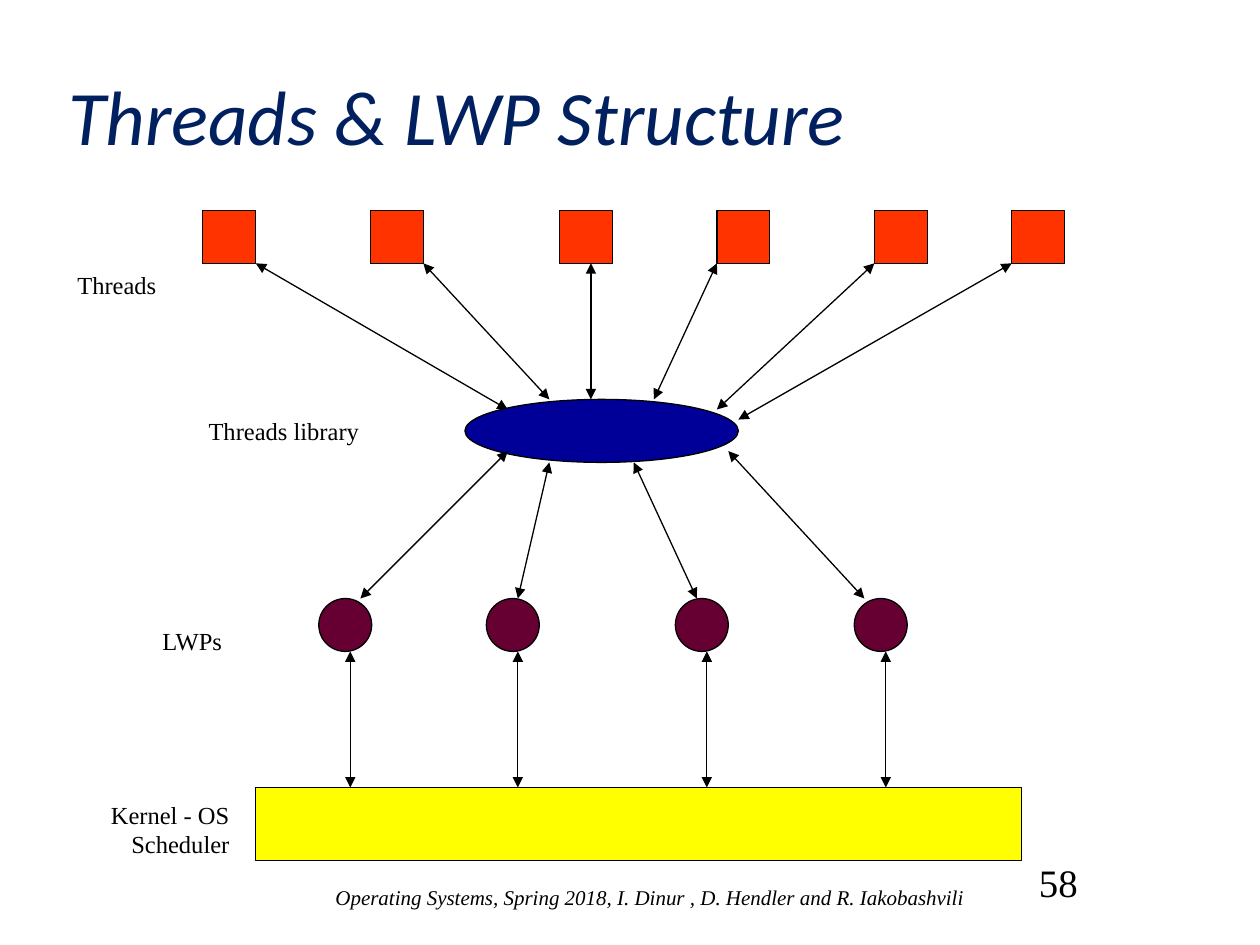
import dataclasses

import pptx
import pptx.dml.color
import pptx.enum.shapes
import pptx.enum.text
import pptx.oxml.ns
import pptx.util
from lxml import etree

Inches = pptx.util.Inches
Pt = pptx.util.Pt
Shape = pptx.enum.shapes.MSO_SHAPE
Align = pptx.enum.text.PP_ALIGN
Anchor = pptx.enum.text.MSO_ANCHOR


@dataclasses.dataclass(frozen=True)
class Theme:
    ink: str = "000000"
    title: str = "002060"
    thread: str = "FF3300"
    library: str = "000099"
    lwp: str = "660033"
    kernel: str = "FFFF00"
    head: str = "Calibri"
    body: str = "Times New Roman"
    large: float = 44
    label: float = 14
    small: float = 12
    number: float = 22.2
    stroke: float = 0.75


THEME = Theme()
NODE = 0.42  # side of a thread square and of an LWP circle


def color(code):
    return pptx.dml.color.RGBColor.from_string(code)


def apply(item, values):
    for name, value in values.items():
        setattr(item, name, value)


def place(item, box):
    apply(item, dict(zip(("left", "top", "width", "height"), map(Inches, box))))


def write(frame, text, size, align, face=THEME.body, ink=THEME.ink, italic=None):
    frame.text = text
    para = frame.paragraphs[0]
    para.alignment = align
    apply(para.font, {"name": face, "size": Pt(size), "italic": italic, "bold": False})
    para.font.color.rgb = color(ink)
    return para


def text(slide, box, words, size, align, italic=None):
    frame = slide.shapes.add_textbox(*map(Inches, box)).text_frame
    frame.word_wrap = True
    return write(frame, words, size, align, italic=italic)


def label(slide, box, words):
    text(slide, box, words, THEME.label, Align.RIGHT)


def block(slide, kind, box, fill):
    shape = slide.shapes.add_shape(kind, *map(Inches, box))
    shape.shadow.inherit = False
    shape.fill.solid()
    shape.fill.fore_color.rgb = color(fill)
    shape.line.color.rgb = color(THEME.ink)
    shape.line.width = Pt(THEME.stroke)


def link(slide, start, end):
    """Draw a line with an arrowhead at both ends."""
    line = slide.shapes.add_connector(
        pptx.enum.shapes.MSO_CONNECTOR.STRAIGHT, *map(Inches, start + end))
    line.line.color.rgb = color(THEME.ink)
    line.line.width = Pt(THEME.stroke)
    tag = pptx.oxml.ns.qn
    stroke = line.line._get_or_add_ln()
    for name in ("a:headEnd", "a:tailEnd"):
        etree.SubElement(stroke, tag(name), type="triangle")
    etree.SubElement(line._element.spPr, tag("a:effectLst"))


def title(slide, box):
    shape = slide.shapes.title
    place(shape, box)
    frame = shape.text_frame
    apply(frame, {"vertical_anchor": Anchor.BOTTOM, "word_wrap": True})
    write(frame, "Threads & LWP Structure", THEME.large, Align.LEFT,
          THEME.head, THEME.title, True)


def threads(slide, box):
    """Draw the squares and their links to the library below."""
    x, y, wide, high = box
    row = (  # square left, link start from square left, link end
        (0, NODE, (2.42, 1.58)),
        (1.33, NODE, (2.75, 1.5)),
        (2.83, 0.25, (3.08, 1.5)),
        (4.08, 0, (3.58, 1.5)),
        (5.33, 0, (4.08, 1.58)),
        (wide - NODE, 0, (4.25, 1.66)),
    )
    for left, out, (dx, dy) in row:
        block(slide, Shape.RECTANGLE, (x + left, y, NODE, NODE), THEME.thread)
        link(slide, (x + left + out, y + high), (x + dx, y + dy))
    label(slide, (x - 1.44, y + high, 1.17, 0.34), "Threads")


def library(slide, box):
    x, y, wide, high = box
    block(slide, Shape.OVAL, box, THEME.library)
    label(slide, (x - 2.41, y + 0.08, 1.67, 0.34), "Threads library")


def lwps(slide, box):
    """Draw the circles, linked to the library above and the kernel below."""
    x, y, wide, high = box
    row = (  # circle left, link start from circle left, link end
        (0, 0.33, (1.5, -1.17)),
        (1.33, 0.25, (1.83, -1.08)),
        (2.83, 0.17, (2.5, -1.08)),
        (wide - NODE, 0.08, (3.25, -1.17)),
    )
    for left, out, (dx, dy) in row:
        block(slide, Shape.OVAL, (x + left, y, NODE, NODE), THEME.lwp)
        link(slide, (x + left + out, y), (x + dx, y + dy))
        link(slide, (x + left + 0.25, y + high), (x + left + 0.25, y + 1.5))
    label(slide, (x - 2.09, y + 0.17, 1.42, 0.34), "LWPs")


def kernel(slide, box):
    x, y, wide, high = box
    block(slide, Shape.RECTANGLE, box, THEME.kernel)
    label(slide, (x - 1.78, y + 0.05, 1.67, 0.57), "Kernel - OS Scheduler")


def footer(slide, box):
    x, y, wide, high = box
    text(slide, (x, y + 0.16, 5.8, 0.35),
         "Operating Systems, Spring 2018, I. Dinur , D. Hendler and R. Iakobashvili",
         THEME.small, Align.CENTER, True)
    page = text(slide, (x + wide - 2.08, y, 2.08, high), "58",
                THEME.number, Align.CENTER)
    page.line_spacing = 0.9


def main():
    deck = pptx.Presentation()
    apply(deck, {"slide_width": Inches(10), "slide_height": Inches(7.5)})
    slide = deck.slides.add_slide(deck.slide_layouts[5])
    title(slide, (0.44, 0.5, 6.92, 0.83))
    threads(slide, (1.61, 1.67, 6.84, NODE))
    library(slide, (3.69, 3.17, 2.17, 0.5))
    lwps(slide, (2.53, 4.75, 4.67, NODE))
    kernel(slide, (2.03, 6.25, 6.08, 0.58))
    footer(slide, (2.26, 6.81, 7.18, 0.5))
    deck.save("out.pptx")


if __name__ == "__main__":
    main()
